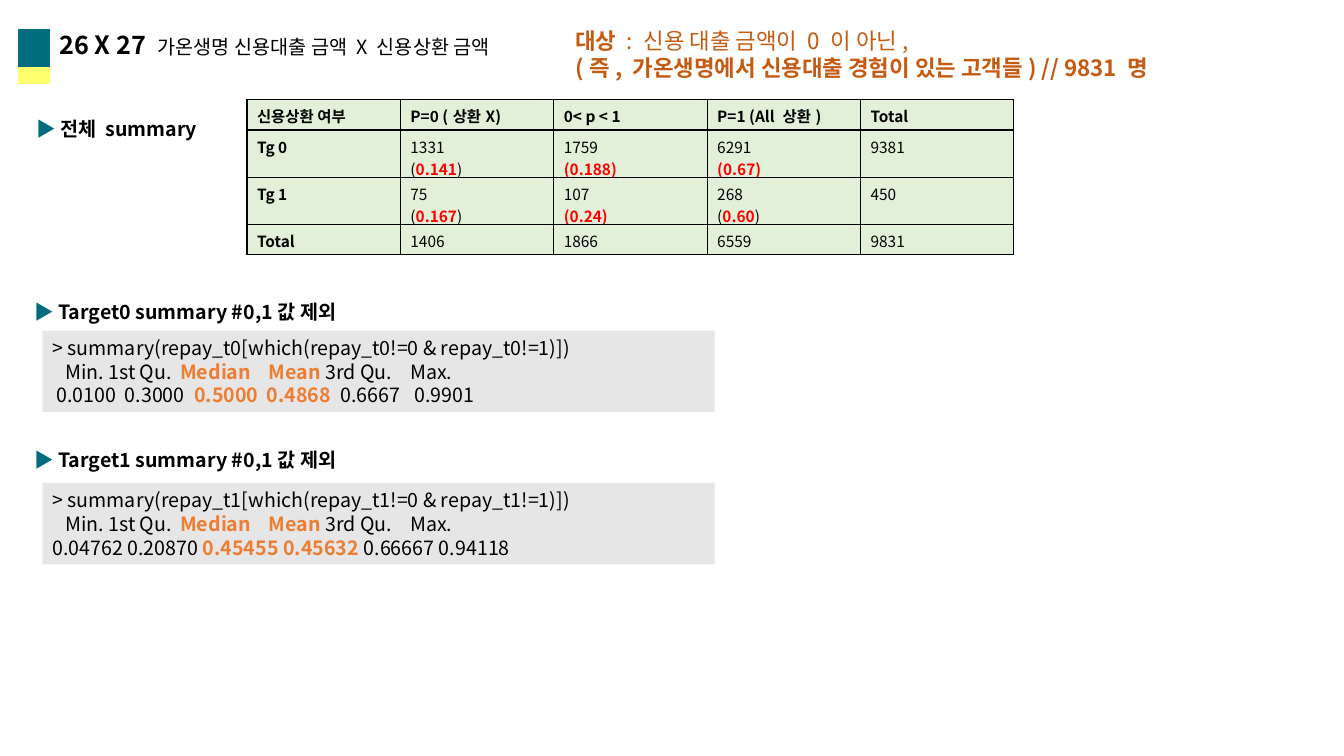
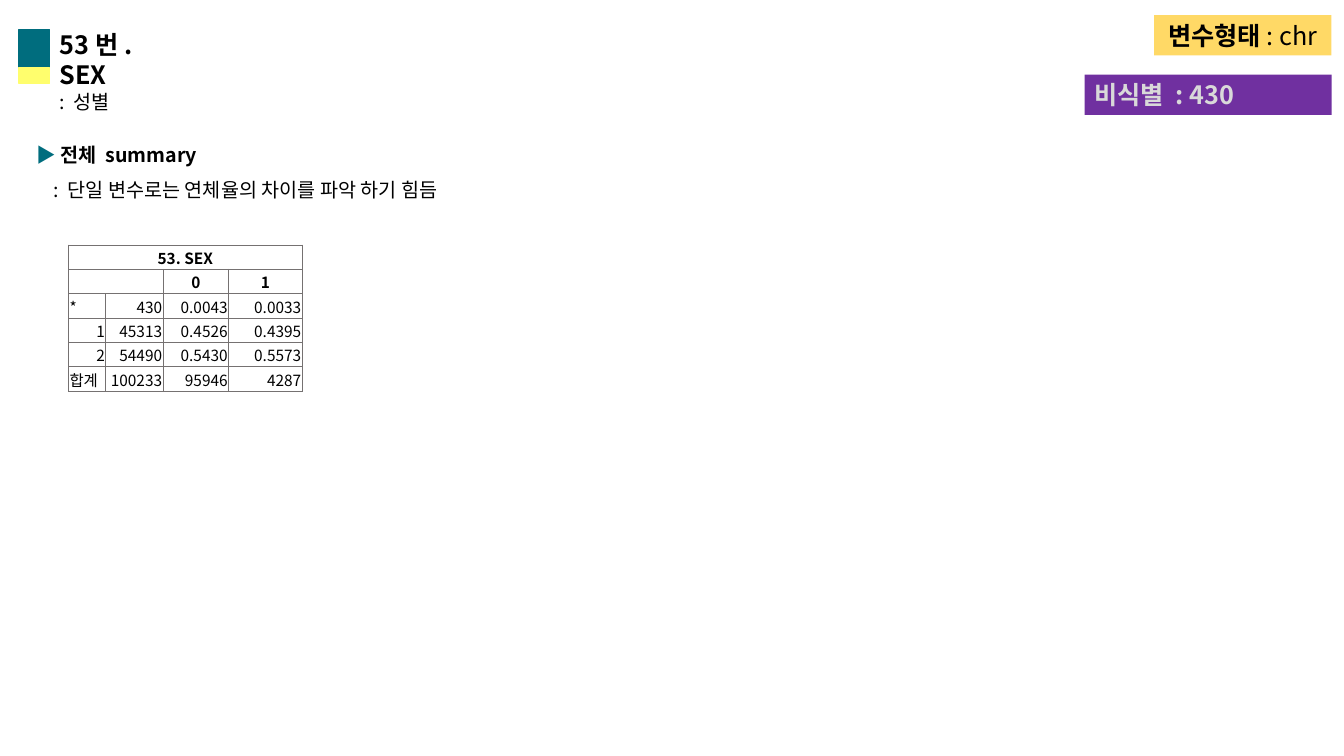
import dataclasses
import lxml.etree
import pptx
import pptx.dml.color
import pptx.enum.shapes
import pptx.enum.text
import pptx.oxml.ns
import pptx.util

ALIGN = pptx.enum.text.PP_ALIGN
ANCHOR = pptx.enum.text.MSO_ANCHOR
RECTANGLE = pptx.enum.shapes.MSO_SHAPE.RECTANGLE
qn = pptx.oxml.ns.qn


@dataclasses.dataclass(frozen=True)
class Theme:
    font: str = "Noto Sans CJK KR"
    title: int = 18
    scope: int = 16
    body: int = 14
    cell: int = 11
    ink: str = "000000"
    teal: str = "006D7E"
    yellow: str = "FFFE6D"
    rust: str = "C55A11"
    orange: str = "ED7D31"
    red: str = "FF0000"
    console: str = "E7E6E6"
    mint: str = "E2F0D9"
    gold: str = "FFD966"
    purple: str = "7030A0"
    silver: str = "D9D9D9"
    rule: str = "757171"


THEME = Theme()


@dataclasses.dataclass(frozen=True)
class Box:
    left: float
    top: float
    width: float
    height: float

    def inner(self, column, row, width, height):
        return Box(self.left + column, self.top + row, width, height)

    def place(self):
        return [grid(n) for n in (self.left, self.top, self.width, self.height)]


@dataclasses.dataclass(frozen=True)
class Span:
    text: str
    bold: bool = False
    color: str = THEME.ink
    size: int = THEME.body


@dataclasses.dataclass(frozen=True)
class Line:
    spans: tuple
    align: int = ALIGN.LEFT
    spacing: float = 1.0
    indent: float = 0
    tabs: tuple = ()


def grid(count):
    return pptx.util.Inches(count / 10)


def rgb(color):
    return pptx.dml.color.RGBColor.from_string(color)


def line(*spans, **layout):
    return Line(spans, **layout)


def write(frame, lines):
    for number, content in enumerate(lines):
        para = frame.add_paragraph() if number else frame.paragraphs[0]
        para.alignment = content.align
        para.line_spacing = content.spacing
        properties = para._p.get_or_add_pPr()
        if content.indent:
            properties.set("marL", str(grid(content.indent)))
            properties.set("indent", "0")
        if content.tabs:
            stops = lxml.etree.SubElement(properties, qn("a:tabLst"))
            for stop in content.tabs:
                lxml.etree.SubElement(stops, qn("a:tab"), pos=str(grid(stop)), algn="l")
        for span in content.spans:
            run = para.add_run()
            run.text = span.text
            run.font.size = pptx.util.Pt(span.size)
            run.font.bold = span.bold
            run.font.color.rgb = rgb(span.color)
            run.font.name = THEME.font
            lxml.etree.SubElement(run._r.get_or_add_rPr(), qn("a:ea"), typeface=THEME.font)
        if not content.spans:
            lxml.etree.SubElement(para._p, qn("a:endParaRPr"), sz=str(THEME.cell * 100))


def fit(frame):
    frame.word_wrap = True
    frame.auto_size = pptx.enum.text.MSO_AUTO_SIZE.SHAPE_TO_FIT_TEXT


def add_text(page, box, *lines):
    frame = page.shapes.add_textbox(*box.place()).text_frame
    fit(frame)
    write(frame, lines)


def add_panel(page, box, color, *lines, outlined=False):
    panel = page.shapes.add_shape(RECTANGLE, *box.place())
    panel.shadow.inherit = False
    panel.fill.solid()
    panel.fill.fore_color.rgb = rgb(color)
    if outlined:
        panel.line.color.rgb = rgb(color)
        panel.line.width = pptx.util.Pt(1)
    else:
        panel.line.fill.background()
    if lines:
        fit(panel.text_frame)
        panel.text_frame.vertical_anchor = ANCHOR.MIDDLE
        write(panel.text_frame, lines)


def add_heading(page, box, *lines):
    add_panel(page, box.inner(0, 0.5, 3, 5.3), THEME.teal, outlined=True)
    add_panel(page, box.inner(0, 4.3, 3, 1.6), THEME.yellow, outlined=True)
    add_text(page, box.inner(3, 0, box.width - 3, box.height), *lines)


def add_section(page, box, label, *notes):
    bullet = Span("▶ ", color=THEME.teal)
    lines = [line(bullet, Span(label, True), spacing=1.5)]
    lines += [line(Span(note), spacing=1.5, indent=1.7) for note in notes]
    add_text(page, box, *lines)


def border(cell, color, width):
    properties = cell._tc.get_or_add_tcPr()
    for position, side in enumerate(("a:lnL", "a:lnR", "a:lnT", "a:lnB")):
        edge = lxml.etree.Element(qn(side), w=str(pptx.util.Pt(width)))
        fill = lxml.etree.SubElement(edge, qn("a:solidFill"))
        lxml.etree.SubElement(fill, qn("a:srgbClr"), val=color)
        properties.insert(position, edge)


def add_table(page, box, columns, rows, cells, rule, fill=None, margins=None, anchor=ANCHOR.TOP):
    table = page.shapes.add_table(len(rows), len(columns), *box.place()).table
    for column, width in zip(table.columns, columns):
        column.width = grid(width)
    for row, height in zip(table.rows, rows):
        row.height = grid(height)
    for row, contents in enumerate(cells):
        for column, lines in enumerate(contents):
            cell = table.cell(row, column)
            if fill:
                cell.fill.solid()
                cell.fill.fore_color.rgb = rgb(fill)
            else:
                cell.fill.background()
            if margins:
                (cell.margin_left, cell.margin_top,
                 cell.margin_right, cell.margin_bottom) = [grid(m) for m in margins]
            cell.vertical_anchor = anchor
            border(cell, *rule)
            write(cell.text_frame, lines)
    return table


def cell_line(text, bold=False, align=ALIGN.LEFT):
    return [line(Span(text, bold, size=THEME.cell), align=align)]


def rate_cell(count, rate, plain_brackets=False):
    pieces = (("(", plain_brackets), (rate, False), (")", plain_brackets))
    spans = [Span(text, not plain, THEME.ink if plain else THEME.red, THEME.cell)
             for text, plain in pieces]
    return cell_line(count) + [line(*spans)]


def add_repayment_table(page, box):
    header = ("신용상환 여부", "P=0 (상환X)", "0< p < 1", "P=1 (All 상환)", "Total")
    totals = ("1406", "1866", "6559", "9831")
    cells = [
        [cell_line(text, True) for text in header],
        [cell_line("Tg 0", True), rate_cell("1331", "0.141", True),
         rate_cell("1759", "0.188"), rate_cell("6291", "0.67"), cell_line("9381")],
        [cell_line("Tg 1", True), rate_cell("75", "0.167", True),
         rate_cell("107", "0.24"), rate_cell("268", "0.60", True), cell_line("450")],
        [cell_line("Total", True)] + [cell_line(text) for text in totals],
    ]
    columns = [box.width / len(header)] * len(header)
    add_table(page, box, columns, (3, 4.67, 4.67, 3), cells, (THEME.ink, 1), THEME.mint)


def add_console(page, box, name, low, middle, high, tabs=()):
    add_panel(
        page, box, THEME.console,
        line(Span(f"> summary({name}[which({name}!=0 & {name}!=1)])")),
        line(Span("\tMin. 1st Qu."), Span("\tMedian\tMean", True, THEME.orange),
             Span(" 3rd Qu.\tMax."), tabs=(1.3, 12.7, 21.5, 35.5)),
        line(Span(low), Span(middle, True, THEME.orange), Span(high), tabs=tabs),
    )


def add_sex_table(page, box):
    rows = (("*", "430", "0.0043", "0.0033"), ("1", "45313", "0.4526", "0.4395"),
            ("2", "54490", "0.5430", "0.5573"), ("합계", "100233", "95946", "4287"))
    blank = [line()]
    cells = [[cell_line("53. SEX", True, ALIGN.CENTER), blank, blank, blank],
             [blank, blank] + [cell_line(text, True, ALIGN.CENTER) for text in "01"]]
    cells += [[cell_line(text, align=ALIGN.LEFT if text in ("*", "합계") else ALIGN.RIGHT)
               for text in row] for row in rows]
    table = add_table(page, box, (3.7, 5.7, 6.5, 7.3), [box.height / len(cells)] * len(cells),
                      cells, (THEME.rule, 0.5), margins=(0.1, 0.1, 0.1, 0), anchor=ANCHOR.MIDDLE)
    table.cell(0, 0).merge(table.cell(0, 3))
    table.cell(1, 0).merge(table.cell(1, 1))


def build_repayment(page):
    add_section(page, Box(2.6, 9.9, 51.6, 4.1), "전체 summary")
    add_heading(page, Box(1.9, 2.4, 51.2, 4),
                line(Span("26 X 27 ", True, size=THEME.title),
                     Span("가온생명 신용대출 금액 X 신용상환 금액")))
    add_repayment_table(page, Box(24.5, 9.9, 76.1, 15.3))
    add_text(page, Box(56.1, 2.2, 63.3, 6.4),
             line(Span("대상 ", True, THEME.rust, THEME.scope),
                  Span(": 신용 대출 금액이 0 이 아닌,", False, THEME.rust, THEME.scope)),
             line(Span("(즉, 가온생명에서 신용대출 경험이 있는 고객들) // 9831 명",
                       True, THEME.rust, THEME.scope)))
    add_section(page, Box(2.4, 28.1, 51.6, 4.5), "Target0 summary #0,1값 제외")
    add_console(page, Box(4.2, 32.8, 66.7, 8.1), "repay_t0", "\t0.0100\t0.3000",
                "\t0.5000\t0.4868", "\t0.6667\t0.9901", (0.4, 7.2, 14.1, 21.3, 28.6, 35.9))
    add_section(page, Box(2.4, 42.8, 51.6, 4.5), "Target1 summary #0,1값 제외")
    add_console(page, Box(4.2, 47.9, 66.7, 8.1), "repay_t1", "0.04762 0.20870 ",
                "0.45455 0.45632 ", "0.66667 0.94118")


def build_sex(page):
    add_section(page, Box(2.6, 12.5, 51.6, 8.1), "전체 summary",
                ": 단일 변수로는 연체율의 차이를 파악 하기 힘듬")
    add_heading(page, Box(1.9, 2.4, 16.5, 6.4),
                line(Span("53번. SEX", True, size=THEME.title)), line(Span(": 성별")))
    add_panel(page, Box(114.5, 1.5, 17.6, 4), THEME.gold,
              line(Span("변수형태", True, size=THEME.title),
                   Span(": chr", size=THEME.title), align=ALIGN.CENTER))
    add_sex_table(page, Box(6.8, 24.3, 23.2, 14.5))
    add_panel(page, Box(107.6, 7.4, 24.5, 4), THEME.purple,
              line(Span("비식별 : 430", True, THEME.silver, THEME.title)))


def main():
    deck = pptx.Presentation()
    deck.slide_width, deck.slide_height = grid(133.33), grid(75)
    for build in (build_repayment, build_sex):
        build(deck.slides.add_slide(deck.slide_layouts[6]))
    deck.save("out.pptx")


if __name__ == "__main__":
    main()
